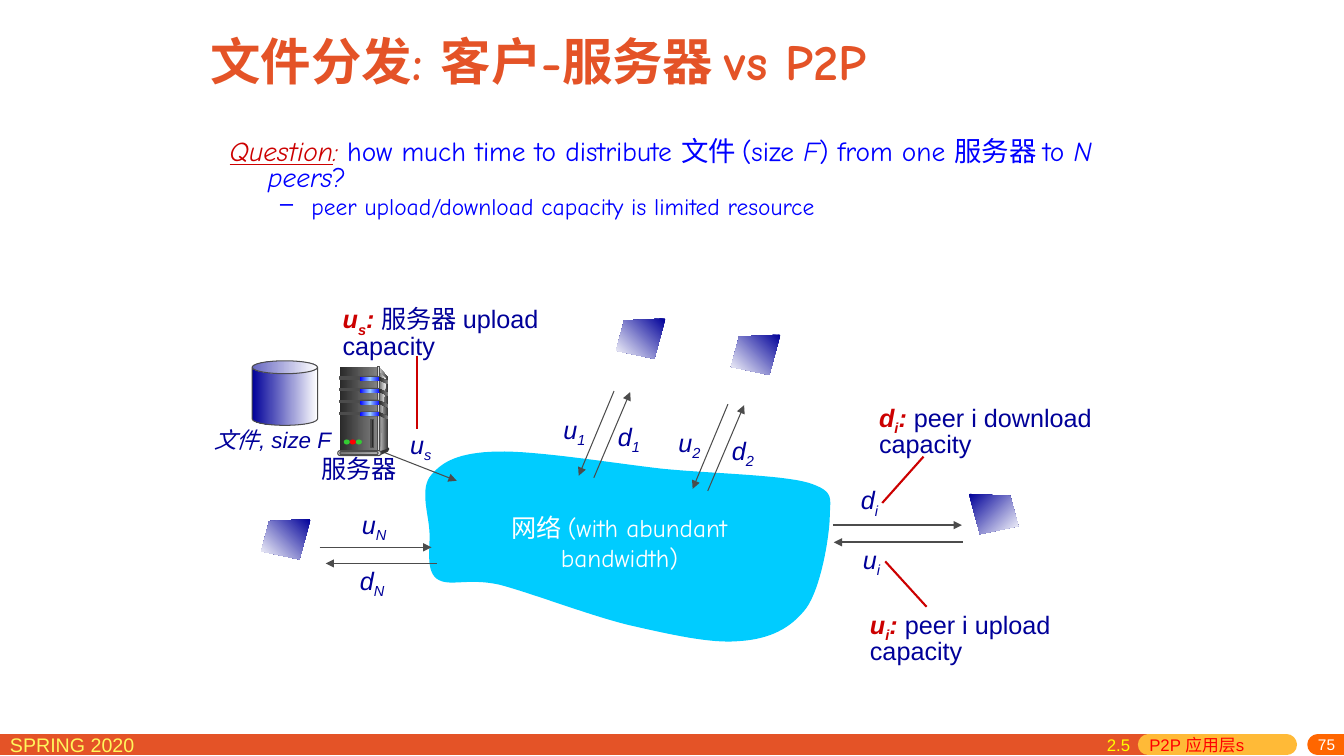
from lxml import etree
from pptx import Presentation
from pptx.dml.color import RGBColor
from pptx.enum.shapes import MSO_CONNECTOR, MSO_SHAPE
from pptx.enum.text import MSO_ANCHOR, PP_ALIGN
from pptx.oxml.ns import qn
from pptx.util import Inches, Pt

STRAIGHT = MSO_CONNECTOR.STRAIGHT
RECT, PILL = MSO_SHAPE.RECTANGLE, MSO_SHAPE.ROUNDED_RECTANGLE
OVAL, CAN = MSO_SHAPE.OVAL, MSO_SHAPE.CAN
TOP, MIDDLE = MSO_ANCHOR.TOP, MSO_ANCHOR.MIDDLE
LEFT, CENTER, RIGHT = PP_ALIGN.LEFT, PP_ALIGN.CENTER, PP_ALIGN.RIGHT

ORANGE, AMBER = RGBColor(0xE4, 0x53, 0x27), RGBColor(0xFF, 0xBA, 0x37)
TANGERINE = RGBColor(0xFF, 0x66, 0x00)
PALE_YELLOW, YELLOW = RGBColor(0xFF, 0xF6, 0x5C), RGBColor(0xFF, 0xFF, 0x00)
WHITE, RED = RGBColor(0xFF, 0xFF, 0xFF), RGBColor(0xFF, 0x00, 0x00)
CRIMSON, GREEN = RGBColor(0xCC, 0x00, 0x00), RGBColor(0x33, 0xCC, 0x33)
NAVY, BLUE = RGBColor(0x00, 0x00, 0x99), RGBColor(0x00, 0x00, 0xFF)
SKY, CYAN = RGBColor(0x99, 0xCC, 0xFF), RGBColor(0x00, 0xCC, 0xFF)
BLACK, CHARCOAL = RGBColor(0x29, 0x29, 0x29), RGBColor(0x33, 0x33, 0x33)
SLATE, DIM = RGBColor(0x4C, 0x4C, 0x4C), RGBColor(0x77, 0x77, 0x77)
GRAY, SILVER = RGBColor(0x80, 0x80, 0x80), RGBColor(0xB2, 0xB2, 0xB2)
LIGHT, PEARL = RGBColor(0xDD, 0xDD, 0xDD), RGBColor(0xF8, 0xF8, 0xF8)

deck = Presentation()
deck.slide_width, deck.slide_height = Inches(13.33), Inches(7.5)
page = deck.slides.add_slide(deck.slide_layouts[6])


def draw(geometry, colors, box=None, edge=None, angle=0, adjust=None):
    """Draw a preset in a box, or a polygon from points; several colors make a gradient."""
    if box:
        shape = page.shapes.add_shape(geometry, *map(Inches, box))
    else:
        points = [(Inches(x), Inches(y)) for x, y in geometry]
        builder = page.shapes.build_freeform(*points[0])
        builder.add_line_segments(points[1:], close=True)
        shape = builder.convert_to_shape()
    shape.shadow.inherit = False
    if adjust is not None:
        shape.adjustments[0] = adjust
    if len(colors) == 1:
        shape.fill.solid()
        shape.fill.fore_color.rgb = colors[0]
    else:
        shape.fill.gradient()
        shape.fill.gradient_angle = -angle % 360
        stops = shape._element.spPr.find(qn("a:gradFill")).find(qn("a:gsLst"))
        for stop in list(stops):
            stops.remove(stop)
        for index, color in enumerate(colors):
            position = 100000 * index // (len(colors) - 1)
            stop = etree.SubElement(stops, qn("a:gs"), pos=str(position))
            etree.SubElement(stop, qn("a:srgbClr"), val=str(color))
    if edge is None:
        shape.line.fill.background()
    else:
        shape.line.color.rgb = edge
        shape.line.width = Pt(0.75)


def write(box, paragraphs, size, color, face="Arial", align=LEFT, anchor=TOP, spacing=None):
    """Add a text box; a run is (text, {italic, bold, underline, color, sub})."""
    frame = page.shapes.add_textbox(*map(Inches, box)).text_frame
    frame.word_wrap = True
    frame.vertical_anchor = anchor
    for index, runs in enumerate(paragraphs):
        para = frame.paragraphs[0] if index == 0 else frame.add_paragraph()
        para.alignment = align
        if spacing:
            para.line_spacing = spacing
        for text, style in runs:
            span = para.add_run()
            span.text = text
            span.font.italic = style.get("italic")
            span.font.bold = style.get("bold")
            span.font.underline = style.get("underline")
            span.font.color.rgb = style.get("color", color)
            if style.get("sub"):
                span._r.get_or_add_rPr().set("baseline", "-25000")
        para.font.size, para.font.name = Pt(size), face
        for span in para.runs:
            span.font.size, span.font.name = Pt(size), face
    return frame


# Network cloud: cubic curves, each with two handles and an end point
cloud_curves = [
    ((4.55, 4.49), (4.39, 4.58), (4.28, 4.71)), ((4.16, 4.84), (4.25, 5.1), (4.26, 5.27)),
    ((4.27, 5.44), (4.22, 5.65), (4.33, 5.74)), ((4.45, 5.83), (4.63, 5.73), (4.95, 5.8)),
    ((5.26, 5.88), (5.83, 6.1), (6.23, 6.2)), ((6.63, 6.29), (7.05, 6.39), (7.34, 6.36)),
    ((7.64, 6.34), (7.85, 6.23), (8, 6.03)), ((8.14, 5.83), (8.22, 5.36), (8.23, 5.15)),
    ((8.23, 4.94), (8.29, 4.88), (8.02, 4.79)), ((7.74, 4.71), (7.07, 4.7), (6.56, 4.65)),
    ((6.05, 4.59), (5.31, 4.47), (4.93, 4.48)),
]
STEPS = 16
cloud = [(4.93, 4.48)]
for first, second, end in cloud_curves:
    start = cloud[-1]
    for step in range(1, STEPS + 1):
        t = step / STEPS
        cloud.append(tuple(
            (1 - t) ** 3 * a + 3 * t * (1 - t) ** 2 * b + 3 * t * t * (1 - t) * c + t ** 3 * d
            for a, b, c, d in zip(start, first, second, end)))
draw(cloud, [CYAN])

# Footer bars, link arrows and callout lines: ends, color, width, arrow
lines = [
    (0, 7.39, 11.39, 7.39, ORANGE, 15, False),
    (11.39, 7.39, 12.76, 7.39, AMBER, 15, False),
    (13.07, 7.39, 13.33, 7.39, TANGERINE, 15, False),
    (3.66, 4.43, 4.53, 4.77, SLATE, 0.75, True),
    (3.17, 5.43, 4.28, 5.43, SLATE, 0.75, True),
    (4.33, 5.59, 3.23, 5.59, SLATE, 0.75, True),
    (8.26, 5.21, 9.54, 5.21, SLATE, 1.5, True),
    (9.55, 5.38, 8.27, 5.38, SLATE, 1.5, True),
    (4.14, 3.53, 4.14, 4.26, CRIMSON, 1.5, False),
    (9.16, 4.53, 8.75, 4.99, CRIMSON, 1.5, False),
    (9.19, 6.02, 8.78, 5.57, CRIMSON, 1.5, False),
]
for dx, dy in [(0, 0), (1.13, 0.13)]:
    lines.append((6.09 + dx, 3.88 + dy, 5.74 + dx, 4.72 + dy, SLATE, 0.75, True))
    lines.append((5.89 + dx, 4.74 + dy, 6.25 + dx, 3.89 + dy, SLATE, 0.75, True))
for x1, y1, x2, y2, color, width, arrow in lines:
    line = page.shapes.add_connector(STRAIGHT, *map(Inches, (x1, y1, x2, y2)))
    line.line.color.rgb = color
    line.line.width = Pt(width)
    stroke = line.line._get_or_add_ln()
    if width == 15:
        stroke.set("cap", "rnd")
    if arrow:
        etree.SubElement(stroke, qn("a:tailEnd"), type="triangle")
    etree.SubElement(line._element.spPr, qn("a:effectLst"))

# File store
draw(CAN, [NAVY, WHITE], (2.5, 3.58, 0.65, 0.64), SLATE, adjust=0.2)

# Server cabinet
draw([(3.77, 3.65), (3.85, 3.75), (3.85, 4.45), (3.75, 4.48)], [LIGHT, CHARCOAL])
draw(RECT, [BLACK, GRAY], (3.37, 3.64, 0.37, 0.84))
draw([(3.77, 3.7), (3.83, 3.76), (3.79, 4.1), (3.77, 4.46)], [GRAY, PEARL])
draw(RECT, [CHARCOAL, LIGHT, CHARCOAL], (3.74, 3.64, 0.02, 0.84), SLATE)
for slot in range(4):
    y = 3.74 + slot * 0.117
    draw(RECT, [SLATE], (3.37, y, 0.21, 0.02), SLATE)
    draw(PILL, [SLATE], (3.56, y - 0.01, 0.21, 0.05), adjust=0.5)
    draw(PILL, [BLUE, SKY, BLUE], (3.57, y, 0.2, 0.04), adjust=0.5)
    draw([(3.76, y), (3.85, y + 0.04), (3.85, y + 0.07), (3.76, y + 0.03)], [BLACK, GRAY])
draw(OVAL, [CHARCOAL], (3.84, 4.44, 0.02, 0.03))
draw([(3.76, 4.48), (3.76, 4.52), (3.85, 4.48), (3.85, 4.45)], [CHARCOAL])
draw(PILL, [LIGHT], (3.35, 4.47, 0.43, 0.05), SLATE, adjust=0.5)
draw(PILL, [DIM, SILVER], (3.37, 4.48, 0.38, 0.03), SLATE, adjust=0.5)
for index, color in enumerate([GREEN, RED, GREEN]):
    draw(OVAL, [color], (3.41 + index * 0.06, 4.36, 0.06, 0.05))
draw(RECT, [BLACK], (3.68, 4.16, 0.03, 0.28), SLATE)

# Peer screens: corner and direction, the right-hand one mirrored
for x, y, side in [(3.08, 5.15, -1), (6.6, 3.16, -1), (7.74, 3.32, -1), (9.61, 4.9, 1)]:
    screen = [(x, y), (x + side * 0.41, y + 0.02), (x + side * 0.49, y + 0.32),
              (x + side * 0.11, y + 0.4)]
    draw(screen, [NAVY, WHITE], angle=45 if side == 1 else 135)

# Title and question
write((1.99, 0.17, 9.32, 0.85), [[("文件分发: 客户-服务器 vs P2P", {"bold": True})]],
      36, ORANGE, "Comic Neue", anchor=MIDDLE)
italic = {"italic": True}
question = write((2.18, 1.34, 9.03, 0.97), [
    [("Question", {"italic": True, "underline": True, "color": CRIMSON}),
     (":", {"italic": True, "color": CRIMSON}),
     (" how much time to distribute 文件 (size ", {}), ("F", italic),
     (") from one 服务器 to ", {}), ("N peers", italic), ("?", {})],
    [("peer upload/download capacity is limited resource", {})],
], 19.6, BLUE, "Comic Neue", spacing=0.8)
for para, margin, hang in zip(question.paragraphs, (0.38, 0.81), (0.38, 0.31)):
    para._p.get_or_add_pPr().set("marL", str(Inches(margin)))
    para._p.get_or_add_pPr().set("indent", str(-Inches(hang)))
detail = question.paragraphs[1]
detail.space_before = Pt(3.4)
bullet = etree.Element(qn("a:buChar"), char="–")
detail._p.pPr.find(qn("a:defRPr")).addprevious(bullet)
detail.font.size = detail.runs[0].font.size = Pt(16.8)

# Rate labels
for x, y, letter, index in [
    (3.97, 4.21, "u", "s"), (3.49, 5, "u", "N"), (3.47, 5.56, "d", "N"),
    (5.49, 4.06, "u", "1"), (6.03, 4.13, "d", "1"), (6.63, 4.19, "u", "2"),
    (7.16, 4.27, "d", "2"), (8.44, 4.76, "d", "i"), (8.46, 5.35, "u", "i"),
]:
    write((x, y, 0.67, 0.4), [[(letter, italic), (index, {"italic": True, "sub": True})]], 18, NAVY)

# Rate explanations
strong = {"italic": True, "bold": True, "color": CRIMSON}
for x, y, width, letter, index, meaning in [
    (3.3, 2.98, 2.2, "u", "s", "服务器 upload capacity"),
    (8.53, 6.01, 2.83, "u", "i", "peer i upload capacity"),
    (8.62, 3.96, 2.32, "d", "i", "peer i download capacity"),
]:
    write((x, y, width, 0.61), [[(letter, strong), (index, {**strong, "sub": True}),
                                 (": ", strong), (meaning, {})]], 18, NAVY, spacing=0.85)

# Names in the diagram
write((2.92, 4.45, 1.28, 0.4), [[("服务器", {})]], 18, NAVY, align=CENTER)
write((1.94, 4.18, 1.53, 0.37), [[("文件, size F", italic)]], 16, NAVY, align=CENTER)
write((4.88, 5.03, 2.53, 0.71), [[("网络 (with abundant", {})], [("bandwidth)", {})]],
      18, WHITE, "Comic Neue", CENTER)

# Footer text
write((0, 7.22, 2.29, 0.31), [[("SPRING 2020", {})]], 14, PALE_YELLOW)
number = write((10.75, 7.32, 2.59, 0.18), [[("75", {})]], 11, WHITE, align=RIGHT, anchor=MIDDLE)
number.margin_top, number.margin_bottom = 0, Inches(0.05)
section = write((10.88, 7.24, 2.09, 0.31), [[("2.5\t", {}), ("P2P 应用层s", {"color": RED})]], 12, YELLOW)
tabs = etree.Element(qn("a:tabLst"))
etree.SubElement(tabs, qn("a:tab"), pos=str(Inches(0.42)), algn="l")
section.paragraphs[0]._p.pPr.find(qn("a:defRPr")).addprevious(tabs)

deck.save("out.pptx")
